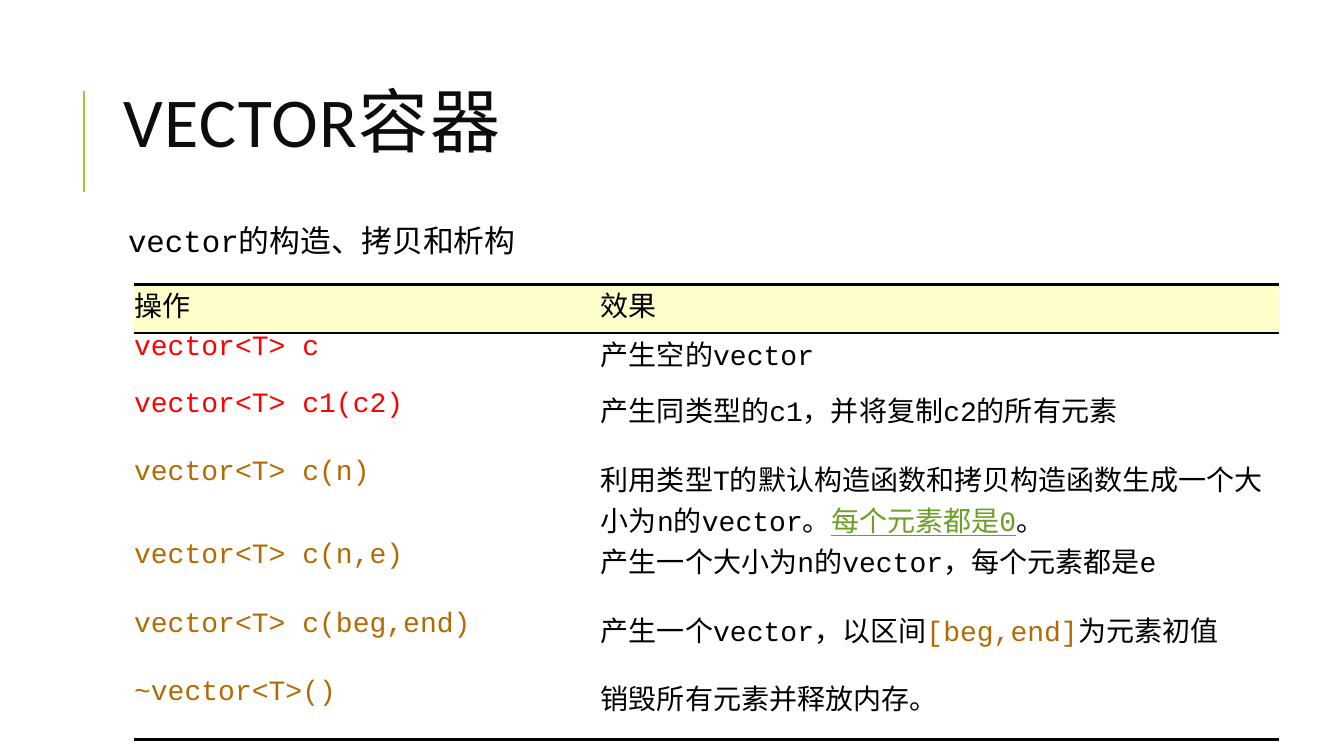
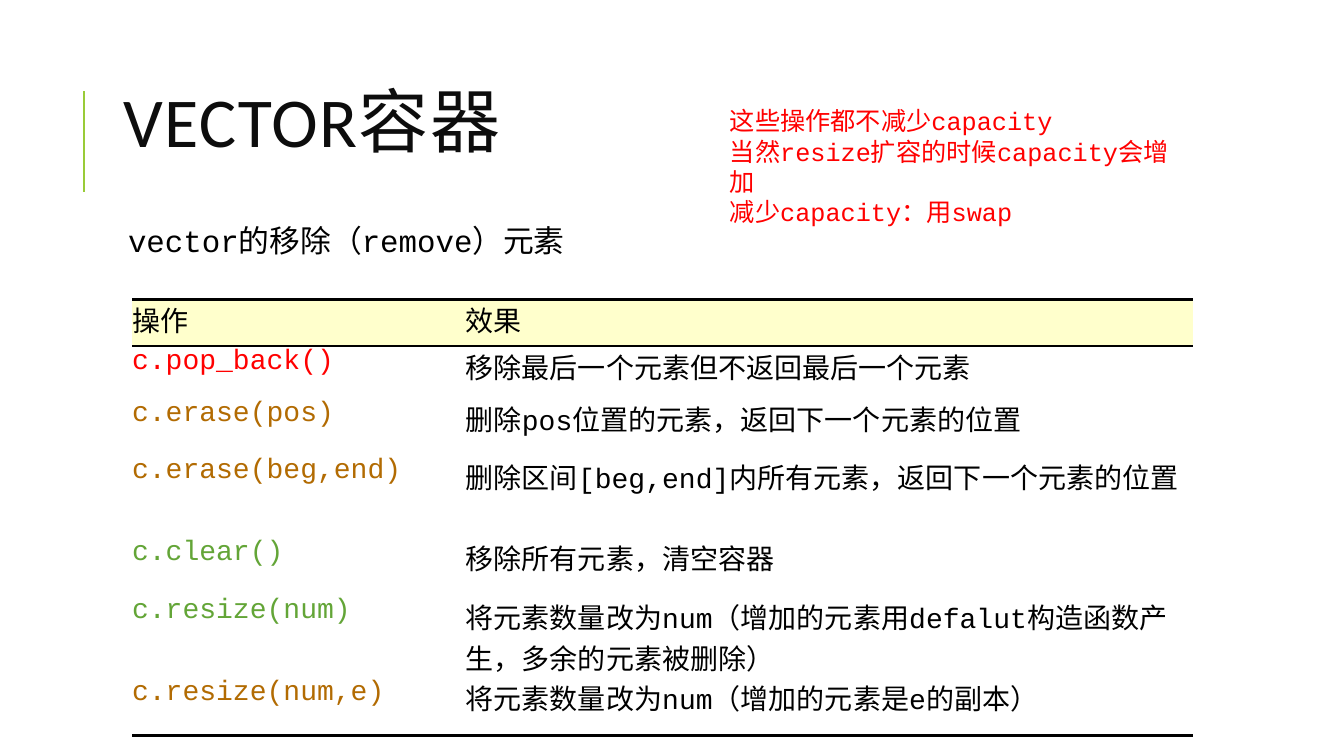
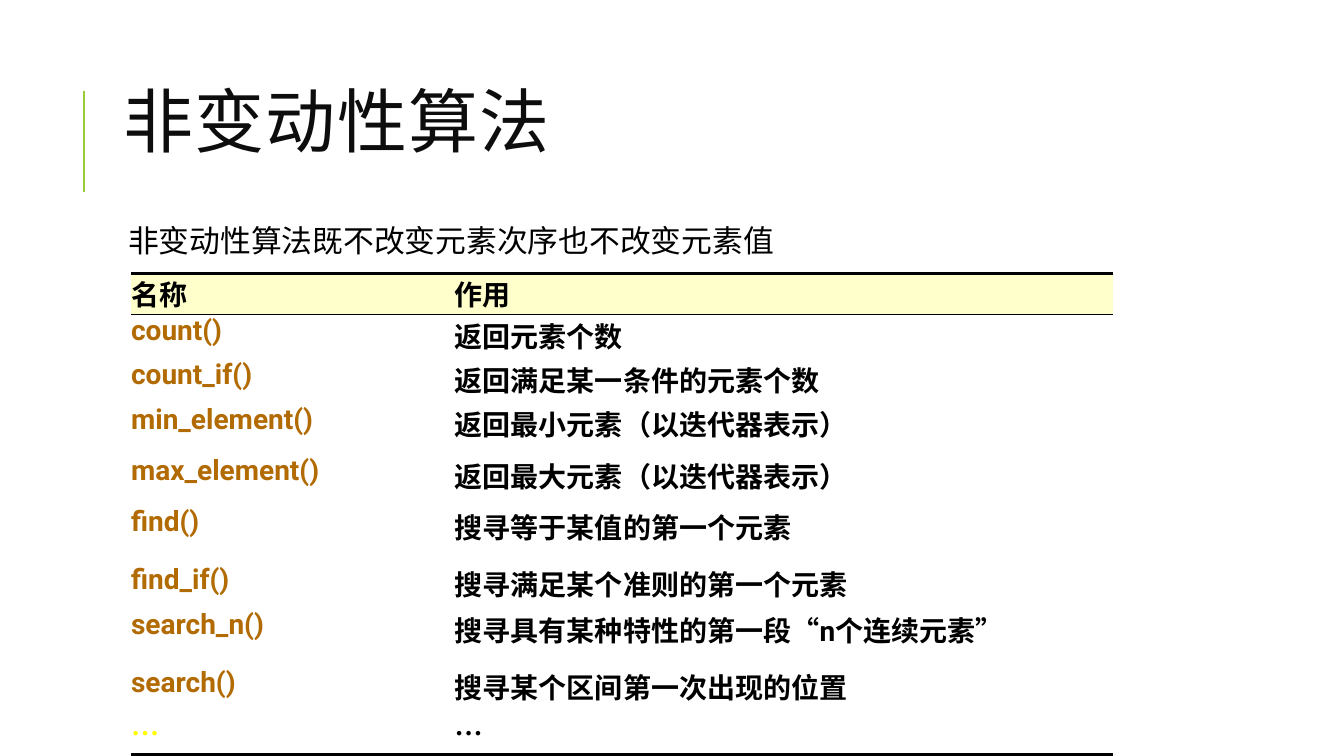
from lxml import etree
from pptx import Presentation
from pptx.dml.color import RGBColor
from pptx.enum import shapes, text
from pptx.oxml import ns
from pptx.util import Inches, Pt

COLORS = {"black": "000000", "title": "0D0D0D", "accent": "99CB38", "header": "FFFFCC",
          "red": "FF0000", "brown": "B26B02", "green": "63A537", "link": "6B9F25",
          "yellow": "FFFF00"}
CJK, CODE, SERIF = "Noto Sans CJK SC", "Courier New", "Times New Roman"
NO_STYLE = "{2D5ABB26-0587-4C30-8999-92F81FD0307C}"
THICK, THIN, NONE = 2.25, 1.5, 0

# Content: each row is (height, name, name colour, effect); an effect is text or styled spans
PAGES = [
    {
        "title": "VECTOR容器",
        "lead": "vector的构造、拷贝和析构",
        "table": {
            "left": 1.33, "top": 2.82, "widths": (4.63, 6.73),
            "format": {"name": CODE},
            "header": (0.48, "操作", "效果"),
            "rows": [
                (0.56, "vector<T> c", "red", "产生空的vector"),
                (0.68, "vector<T> c1(c2)", "red", "产生同类型的c1，并将复制c2的所有元素"),
                (0.82, "vector<T> c(n)", "brown", [
                    ("利用类型T的默认构造函数和拷贝构造函数生成一个大小为n的vector。", {}),
                    ("每个元素都是0", {"color": "link", "underline": True}),
                    ("。", {})]),
                (0.68, "vector<T> c(n,e)", "brown", "产生一个大小为n的vector，每个元素都是e"),
                (0.68, "vector<T> c(beg,end)", "brown", [
                    ("产生一个vector，以区间", {}),
                    ("[beg,end]", {"color": "brown"}),
                    ("为元素初值", {})]),
                (0.62, "~vector<T>()", "brown", "销毁所有元素并释放内存。"),
            ],
        },
    },
    {
        "title": "VECTOR容器",
        "lead": "vector的移除（remove）元素",
        "table": {
            "left": 1.31, "top": 2.97, "widths": (3.31, 7.21),
            "format": {"name": CODE},
            "header": (0.46, "操作", "效果"),
            "rows": [
                (0.52, "c.pop_back()", "red", "移除最后一个元素但不返回最后一个元素"),
                (0.57, "c.erase(pos)", "brown", "删除pos位置的元素，返回下一个元素的位置"),
                (0.81, "c.erase(beg,end)", "brown",
                 "删除区间[beg,end]内所有元素，返回下一个元素的位置"),
                (0.58, "c.clear()", "green", "移除所有元素，清空容器"),
                (0.81, "c.resize(num)", "green",
                 "将元素数量改为num（增加的元素用defalut构造函数产生，多余的元素被删除）"),
                (0.58, "c.resize(num,e)", "brown", "将元素数量改为num（增加的元素是e的副本）"),
            ],
        },
        "note": ["这些操作都不减少capacity",
                 "当然resize扩容的时候capacity会增加",
                 "减少capacity：用swap"],
    },
    {
        "title": "非变动性算法",
        "lead": "非变动性算法既不改变元素次序也不改变元素值",
        "table": {
            "left": 1.3, "top": 2.71, "widths": (3.21, 6.53),
            "format": {"name": "Roboto", "bold": True},
            "header": (0.41, "名称", "作用"),
            "rows": [
                (0.44, "count()", "brown", "返回元素个数"),
                (0.44, "count_if()", "brown", "返回满足某一条件的元素个数"),
                (0.51, "min_element()", "brown", "返回最小元素（以迭代器表示）"),
                (0.51, "max_element()", "brown", "返回最大元素（以迭代器表示）"),
                (0.57, "find()", "brown", "搜寻等于某值的第一个元素"),
                (0.45, "find_if()", "brown", "搜寻满足某个准则的第一个元素"),
                (0.57, "search_n()", "brown", [
                    ("搜寻具有某种特性的第一段", {}),
                    ("“", {"name": SERIF}),
                    ("n个连续元素", {}),
                    ("”", {"name": SERIF})]),
                (0.44, "search()", "brown", "搜寻某个区间第一次出现的位置"),
                (0.44, [("…", {"name": SERIF})], "yellow", [("…", {"name": SERIF})]),
            ],
        },
    },
]


# Text
def write(para, content, **base):
    """Add plain text or (text, format) spans to a paragraph."""
    spans = [(content, {})] if isinstance(content, str) else content
    for words, extra in spans:
        values = {**base, **extra}
        color = values.pop("color")
        span = para.add_run()
        span.text = words
        for key, value in values.items():
            setattr(span.font, key, value)
        span.font.color.rgb = RGBColor.from_string(COLORS[color])
        etree.SubElement(span.font._element, ns.qn("a:ea"), typeface=CJK)


def set_frame(frame, inset, **values):
    frame.word_wrap = True
    for side in ("left", "top", "right", "bottom"):
        setattr(frame, "margin_" + side, Inches(inset))
    for key, value in values.items():
        setattr(frame, key, value)


# Shared parts of every slide
def add_page(deck, title, lead):
    page = deck.slides.add_slide(deck.slide_layouts[5])
    rule = page.shapes.add_connector(shapes.MSO_CONNECTOR.STRAIGHT, Inches(0.83), Inches(1.9),
                                     Inches(0.83), Inches(0.9))
    rule.line.color.rgb = RGBColor.from_string(COLORS["accent"])
    rule.line.width = Pt(1.5)
    etree.SubElement(rule._element.spPr, ns.qn("a:effectLst"))

    box = page.shapes.title
    box.left, box.top, box.width, box.height = map(Inches, (1.12, 0.64, 10.63, 1.25))
    set_frame(box.text_frame, 0.1, vertical_anchor=text.MSO_ANCHOR.MIDDLE,
              auto_size=text.MSO_AUTO_SIZE.NONE, margin_top=Inches(0.05),
              margin_bottom=Inches(0.05))
    para = box.text_frame.paragraphs[0]
    para.alignment = text.PP_ALIGN.LEFT
    para.line_spacing = 0.8
    write(para, title, size=Pt(50), name="Calibri", color="title")
    para.runs[0].font._element.set("spc", "100")

    box = page.shapes.add_textbox(*map(Inches, (1.12, 2.08, 11.38, 0.65)))
    set_frame(box.text_frame, 0.05, margin_left=Inches(0.15))
    para = box.text_frame.paragraphs[0]
    para.line_spacing = 1.2
    write(para, lead, size=Pt(22), name=CODE, color="black")
    return page


# Tables
def set_borders(cell, top, bottom):
    """Give a cell explicit top and bottom borders, placed ahead of its fill."""
    for place, (tag, width) in enumerate([("a:lnT", top), ("a:lnB", bottom)]):
        line = etree.Element(ns.qn(tag), w=str(Pt(width)))
        if width:
            fill = etree.SubElement(line, ns.qn("a:solidFill"))
            etree.SubElement(fill, ns.qn("a:srgbClr"), val=COLORS["black"])
        else:
            etree.SubElement(line, ns.qn("a:noFill"))
        cell._tc.get_or_add_tcPr().insert(place, line)


def add_operations(page, left, top, widths, format, header, rows):
    height, *labels = header
    grid = [(height, labels[0], "black", labels[1]), *rows]
    rules = [THICK, THIN, *[NONE] * (len(rows) - 1), THICK]
    frame = page.shapes.add_table(len(grid), len(widths), Inches(left), Inches(top),
                                  Inches(sum(widths)), Inches(sum(row[0] for row in grid)))
    table = frame.table
    table.first_row = table.horz_banding = False
    table._tbl.tblPr.find(ns.qn("a:tableStyleId")).text = NO_STYLE
    for column, width in zip(table.columns, widths):
        column.width = Inches(width)

    for index, (height, name, color, effect) in enumerate(grid):
        table.rows[index].height = Inches(height)
        for column, (content, ink) in enumerate([(name, color), (effect, "black")]):
            cell = table.cell(index, column)
            for side in ("left", "top", "right", "bottom"):
                setattr(cell, "margin_" + side, 0)
            write(cell.text_frame.paragraphs[0], content, size=Pt(20), color=ink, **format)
            if index == 0:
                cell.fill.solid()
                cell.fill.fore_color.rgb = RGBColor.from_string(COLORS["header"])
            else:
                cell.fill.background()
            set_borders(cell, rules[index], rules[index + 1])


def add_note(page, lines):
    box = page.shapes.add_textbox(*map(Inches, (7.14, 1, 4.69, 1.01)))
    frame = box.text_frame
    frame.word_wrap = True
    frame.auto_size = text.MSO_AUTO_SIZE.SHAPE_TO_FIT_TEXT
    for index, line in enumerate(lines):
        para = frame.add_paragraph() if index else frame.paragraphs[0]
        write(para, line, size=Pt(18), name=CODE, color="red")


def main():
    deck = Presentation()
    deck.slide_width, deck.slide_height = Inches(13.33), Inches(7.5)
    for content in PAGES:
        page = add_page(deck, content["title"], content["lead"])
        add_operations(page, **content["table"])
        if "note" in content:
            add_note(page, content["note"])
    deck.save("out.pptx")


if __name__ == "__main__":
    main()
